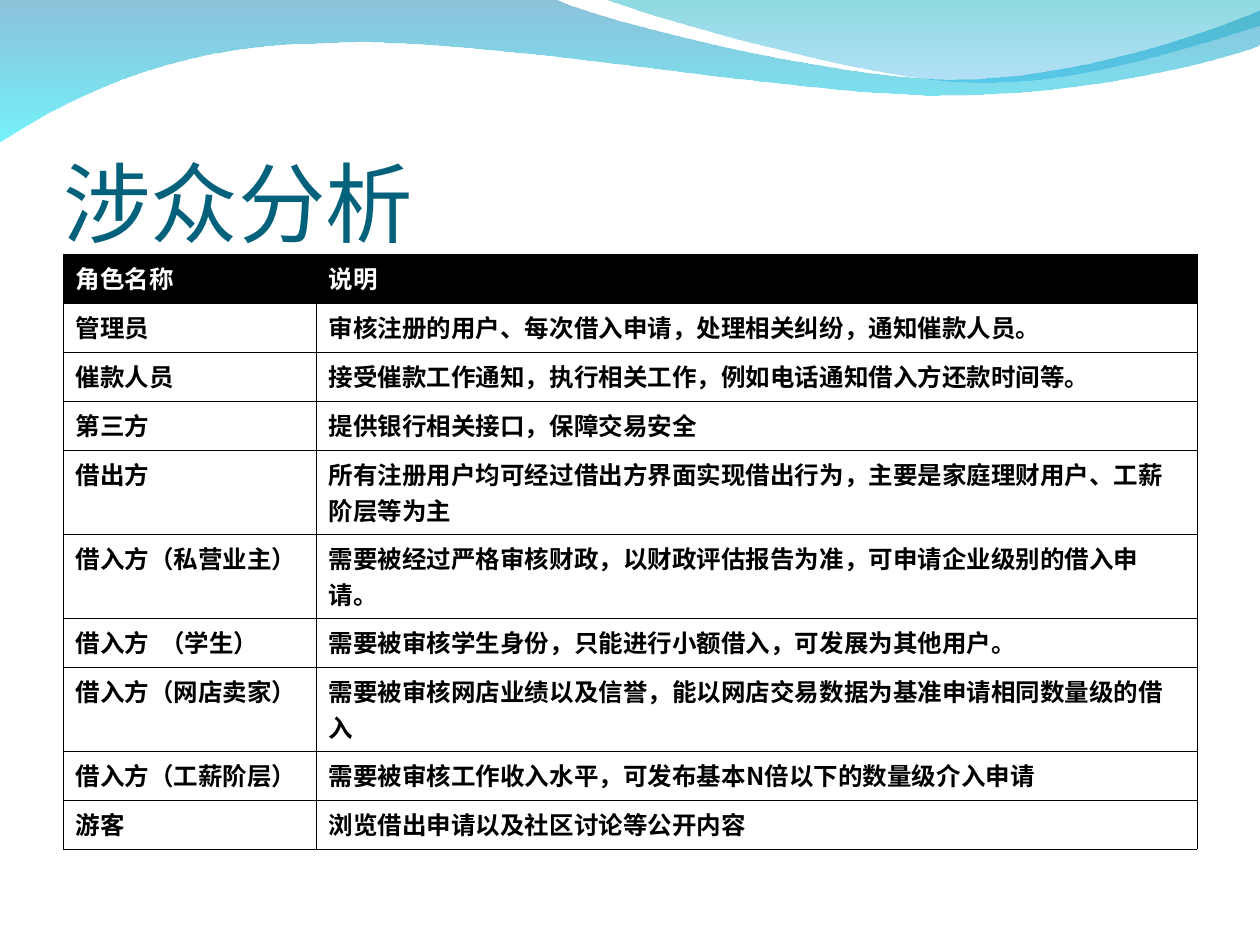
from dataclasses import dataclass

from lxml.etree import SubElement
from pptx import Presentation
from pptx.dml.color import RGBColor
from pptx.enum.text import MSO_ANCHOR as Anchor, MSO_AUTO_SIZE as AutoSize, PP_ALIGN as Align
from pptx.oxml.ns import qn
from pptx.util import Pt

EMU_PER_PX = 914400 / 126
CJK_FONT = "Noto Sans CJK SC"
BLACK, WHITE = "000000", "FFFFFF"

Point = tuple[int, int]


@dataclass
class Stop:
    color: str
    opacity: int  # percent


@dataclass
class Wave:
    start: Point
    segments: list[list[Point]]  # one point is a line, three a Bezier curve
    stops: tuple[Stop, Stop]


@dataclass
class Role:
    name: str
    duty: str
    height: int = 49


WAVES = [
    Wave((0, -1), [
        [(554, -1)],
        [(600, 21), (837, 79), (955, 79)],
        [(1075, 79), (1207, 33), (1260, 11)],
        [(1261, 45)],
        [(1239, 55), (1096, 96), (940, 95)],
        [(784, 95), (481, 35), (324, 43)],
        [(163, 44), (58, 105), (-1, 142)],
    ], (Stop("0079AF", 45), Stop("00EBF8", 55))),
    Wave((604, -1), [
        [(641, 14), (859, 78), (969, 82)],
        [(1079, 87), (1211, 40), (1260, 26)],
        [(1260, 0)],
    ], (Stop("00ADB6", 45), Stop("009BE5", 30))),
]

ROLES = [
    Role("角色名称", "说明"),
    Role("管理员", "审核注册的用户、每次借入申请，处理相关纠纷，通知催款人员。"),
    Role("催款人员", "接受催款工作通知，执行相关工作，例如电话通知借入方还款时间等。"),
    Role("第三方", "提供银行相关接口，保障交易安全"),
    Role("借出方", "所有注册用户均可经过借出方界面实现借出行为，主要是家庭理财用户、工薪阶层等为主", 84),
    Role("借入方（私营业主）", "需要被经过严格审核财政，以财政评估报告为准，可申请企业级别的借入申请。"),
    Role("借入方  （学生）", "需要被审核学生身份，只能进行小额借入，可发展为其他用户。"),
    Role("借入方（网店卖家）", "需要被审核网店业绩以及信誉，能以网店交易数据为基准申请相同数量级的借入", 84),
    Role("借入方（工薪阶层）", "需要被审核工作收入水平，可发布基本N倍以下的数量级介入申请"),
    Role("游客", "浏览借出申请以及社区讨论等公开内容"),
]
COLUMN_WIDTHS = (253, 881)


def px(length: int) -> int:
    return round(length * EMU_PER_PX)


def rgb(color: str) -> RGBColor:
    return RGBColor.from_string(color)


def curve_segments(shape, segments: list[list[Point]]) -> None:
    """Join each three line points of a curved segment into one Bezier."""
    lines = iter(list(shape._element.iter(qn("a:lnTo"))))
    for segment in segments:
        members = [next(lines) for _ in segment]
        if len(members) == 3:
            curve = members[0].makeelement(qn("a:cubicBezTo"))
            members[0].addprevious(curve)
            for line in members:
                curve.append(line[0])
                line.getparent().remove(line)


def draw_wave(slide, wave: Wave) -> None:
    outline = [(px(x), px(y)) for segment in wave.segments for x, y in segment]
    builder = slide.shapes.build_freeform(*map(px, wave.start))
    builder.add_line_segments(outline, close=True)
    shape = builder.convert_to_shape()
    curve_segments(shape, wave.segments)
    shape.shadow.inherit = False
    shape.line.fill.background()
    shape.fill.gradient()
    shape.fill.gradient_angle = 270
    for gradient_stop, stop in zip(shape.fill.gradient_stops, wave.stops):
        gradient_stop.color.rgb = rgb(stop.color)
    for color, stop in zip(shape._element.spPr.iter(qn("a:srgbClr")), wave.stops):
        SubElement(color, qn("a:alpha"), val=str(stop.opacity * 1000))


def draw_title(slide, text: str) -> None:
    title = slide.shapes.title
    title.left, title.top, title.width, title.height = px(63), px(97), px(1134), px(157)
    frame = title.text_frame
    frame.text = text
    frame.auto_size = AutoSize.NONE
    frame.vertical_anchor = Anchor.BOTTOM
    frame.margin_left = frame.margin_right = frame.margin_bottom = 0
    frame.margin_top = px(6)
    paragraph = frame.paragraphs[0]
    paragraph.alignment = Align.LEFT
    font = paragraph.runs[0].font
    font.name, font.size, font.color.rgb = "Calibri", Pt(50), rgb("04617B")
    # Keep the title in front of the waves
    slide.shapes._spTree.append(title._element)


def draw_borders(cell) -> None:
    properties = cell._tc.get_or_add_tcPr()
    for side in ("lnL", "lnR", "lnT", "lnB"):
        line = SubElement(properties, qn(f"a:{side}"), w=str(Pt(0.23)))
        fill = SubElement(line, qn("a:solidFill"))
        SubElement(fill, qn("a:srgbClr"), val=BLACK)


def fill_cell(cell, text: str, is_header: bool) -> None:
    draw_borders(cell)
    if is_header:
        cell.fill.solid()
        cell.fill.fore_color.rgb = rgb(BLACK)
    else:
        cell.fill.background()
    cell.text_frame.text = text
    paragraph = cell.text_frame.paragraphs[0]
    # Closing punctuation wraps instead of hanging in the margin
    paragraph._p.get_or_add_pPr().set("hangingPunct", "0")
    run = paragraph.runs[0]
    font = run.font
    font.name, font.size, font.bold = CJK_FONT, Pt(14), True
    font.color.rgb = rgb(WHITE if is_header else BLACK)
    SubElement(run._r.get_or_add_rPr(), qn("a:ea"), typeface=CJK_FONT)


def draw_roles(slide, roles: list[Role]) -> None:
    table = slide.shapes.add_table(
        len(roles), len(COLUMN_WIDTHS), px(63), px(254),
        px(sum(COLUMN_WIDTHS)), px(sum(role.height for role in roles))).table
    table.horz_banding = False
    for column, width in zip(table.columns, COLUMN_WIDTHS):
        column.width = px(width)
    for index, (row, role) in enumerate(zip(table.rows, roles)):
        row.height = px(role.height)
        for cell, text in zip(row.cells, (role.name, role.duty)):
            fill_cell(cell, text, is_header=index == 0)


def main() -> None:
    deck = Presentation()
    deck.slide_width, deck.slide_height = px(1260), px(945)
    slide = deck.slides.add_slide(deck.slide_layouts[5])
    # Header decoration
    for wave in WAVES:
        draw_wave(slide, wave)
    # Title and stakeholder table
    draw_title(slide, "涉众分析")
    draw_roles(slide, ROLES)
    deck.save("out.pptx")


if __name__ == "__main__":
    main()
